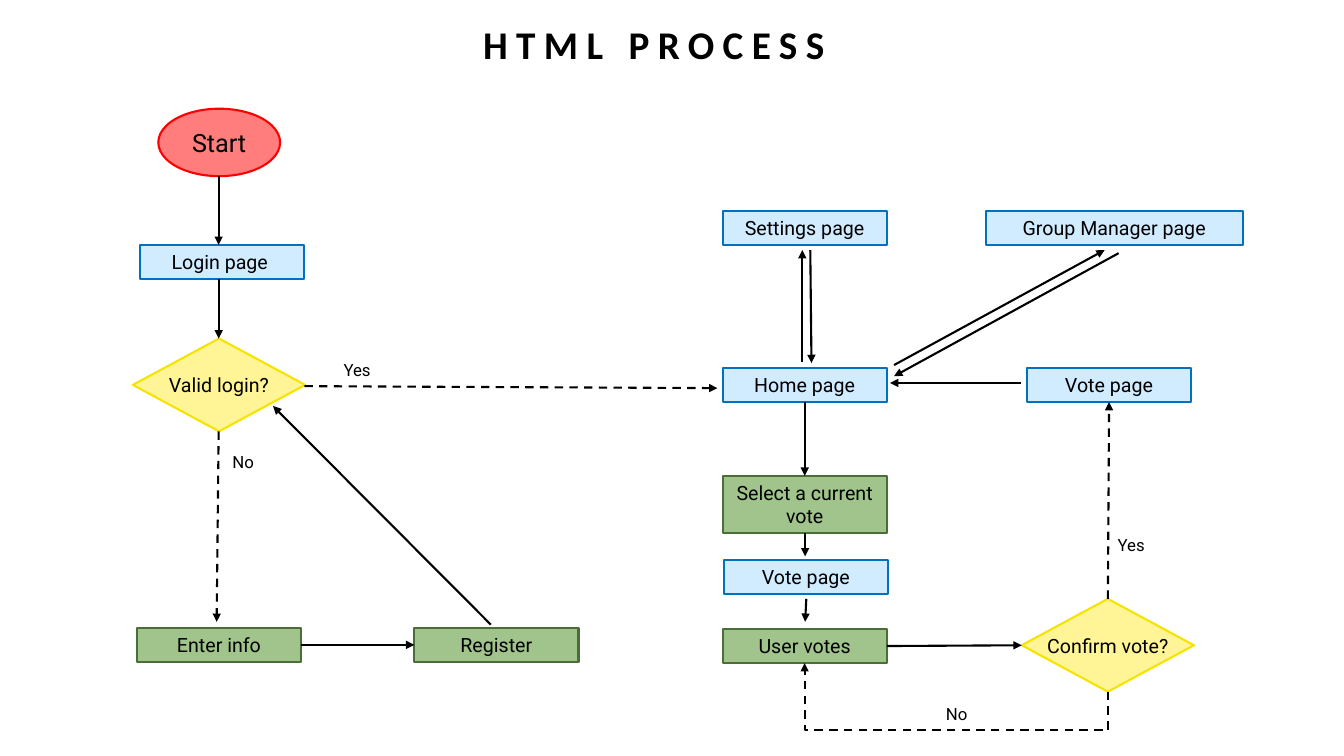
import pptx
import pptx.dml.color
import pptx.enum.dml
import pptx.enum.shapes
import pptx.enum.text
import pptx.oxml
import pptx.oxml.ns
import pptx.util
import lxml.etree

Cm = pptx.util.Cm
Pt = pptx.util.Pt
SHAPE = pptx.enum.shapes.MSO_SHAPE
CONNECTOR = pptx.enum.shapes.MSO_CONNECTOR
AUTO_SIZE = pptx.enum.text.MSO_AUTO_SIZE
ANCHOR = pptx.enum.text.MSO_ANCHOR

BLACK = "000000"
START = ("FF7D7D", "FF0000")
PAGE = ("D1EBFF", "0070C0")
ACTION = ("A0C48C", "4B6E38")
DECISION = ("FFF597", "F6E400")

STEP_W, STEP_H = 4.14, 0.86
DECISION_W, DECISION_H = 4.34, 2.34
TOP, LEFT, BOTTOM, RIGHT = range(4)  # connection sites


def color(hex_code):
    return pptx.dml.color.RGBColor.from_string(hex_code)


def write(shape, text, size, font="Roboto", bold=False):
    """Put centred black text in a shape and return its run."""
    shape.text_frame.text = text
    paragraph = shape.text_frame.paragraphs[0]
    paragraph.alignment = pptx.enum.text.PP_ALIGN.CENTER
    run = paragraph.runs[0]
    run.font.size = Pt(size)
    run.font.name = font
    run.font.bold = bold
    run.font.color.rgb = color(BLACK)
    return run


class Region:
    """Draws flowchart parts, in centimetres from its top left corner."""

    def __init__(self, slide, left, top):
        self.shapes = slide.shapes
        self.left, self.top = left, top

    def place(self, x, y):
        return Cm(self.left + x), Cm(self.top + y)

    def node(self, preset, text, x, y, w, h, colors, size=14):
        node = self.shapes.add_shape(preset, *self.place(x, y), Cm(w), Cm(h))
        node.shadow.inherit = False
        fill, line = colors
        node.fill.solid()
        node.fill.fore_color.rgb = color(fill)
        node.line.color.rgb = color(line)
        node.line.width = Pt(1.5)
        write(node, text, size)
        node.text_frame.vertical_anchor = ANCHOR.MIDDLE
        return node

    def step(self, text, x, y, colors, w=STEP_W, h=STEP_H):
        step = self.node(SHAPE.RECTANGLE, text, x, y, w, h, colors)
        step.text_frame.word_wrap = True
        step.text_frame.vertical_anchor = ANCHOR.TOP
        step.text_frame.auto_size = AUTO_SIZE.SHAPE_TO_FIT_TEXT
        return step

    def decision(self, text, x, y):
        decision = self.node(SHAPE.DIAMOND, text, x, y, DECISION_W, DECISION_H, DECISION)
        decision.text_frame.word_wrap = False
        return decision

    def answer(self, text, x, y):
        answer = self.shapes.add_textbox(*self.place(x, y), Cm(1.24), Cm(0.76))
        answer.text_frame.word_wrap = True
        answer.text_frame.auto_size = AUTO_SIZE.SHAPE_TO_FIT_TEXT
        write(answer, text, 12)

    def arrow(self, start, end, dashed=False, kind=CONNECTOR.STRAIGHT):
        arrow = self.shapes.add_connector(kind, *self.place(*start), *self.place(*end))
        arrow.line.color.rgb = color(BLACK)
        arrow.line.width = Pt(1.5)
        if dashed:
            arrow.line.dash_style = pptx.enum.dml.MSO_LINE.DASH
        properties = arrow._element.spPr
        outline = properties.find(pptx.oxml.ns.qn("a:ln"))
        head = lxml.etree.SubElement(outline, pptx.oxml.ns.qn("a:tailEnd"))
        head.set("type", "triangle")
        lxml.etree.SubElement(properties, pptx.oxml.ns.qn("a:effectLst"))
        return arrow

    def link(self, source, source_site, target, target_site, dashed=False):
        """Join two nodes with an arrow that stays attached to them."""
        link = self.arrow((0, 0), (1, 1), dashed)
        link.begin_connect(source, source_site)
        link.end_connect(target, target_site)

    def loop_below(self, start, end, drop):
        """Dashed elbow arrow that runs left, `drop` below its start."""
        (x1, y1), (x2, y2) = start, end
        mid_x, mid_y = (x1 + x2) / 2, (y1 + y2) / 2
        half_w, half_h = (y1 - y2) / 2, (x1 - x2) / 2
        # The elbow is laid out upright, then turned a quarter clockwise.
        loop = self.arrow((mid_x + half_w, mid_y - half_h),
                          (mid_x - half_w, mid_y + half_h), True, CONNECTOR.ELBOW)
        properties = loop._element.spPr
        properties.find(pptx.oxml.ns.qn("a:xfrm")).set("rot", "5400000")
        geometry = properties.find(pptx.oxml.ns.qn("a:prstGeom"))
        guides = geometry.find(pptx.oxml.ns.qn("a:avLst"))
        if guides is None:
            guides = lxml.etree.SubElement(geometry, pptx.oxml.ns.qn("a:avLst"))
        bend = lxml.etree.SubElement(guides, pptx.oxml.ns.qn("a:gd"))
        bend.set("name", "adj1")
        bend.set("fmla", f"val {round(-100000 * drop / (y1 - y2))}")


def draw_title(slide, left, top, width, height):
    title = slide.shapes.add_textbox(Cm(left), Cm(top), Cm(width), Cm(height))
    title.text_frame.word_wrap = True
    title.text_frame.vertical_anchor = ANCHOR.MIDDLE
    run = write(title, "HTML PROCESS", 28, "Calibri", True)
    run.font._element.set("spc", "600")
    title.text_frame.paragraphs[0].line_spacing = 1.2


def draw_login(slide, left, top):
    region = Region(slide, left, top)
    axis = 2.16
    region.node(SHAPE.OVAL, "Start", 0.64, 0, 3.07, 1.7, START, size=18)
    region.step("Login page ", 0.18, 3.43, PAGE)
    region.decision("Valid login?", 0, 5.79)
    enter_info = region.step("Enter info", 0.1, 13.08, ACTION)
    register = region.step("Register", 7.09, 13.08, ACTION)

    region.arrow((axis, 1.7), (axis, 3.43))
    region.arrow((axis, 4.29), (axis, 5.79))
    region.arrow((axis, 8.13), (2.11, 12.93), dashed=True)
    region.link(enter_info, RIGHT, register, LEFT)
    region.arrow((9.02, 13), (3.53, 7.49))
    region.arrow((4.32, 6.99), (14.73, 7.04), dashed=True)
    region.answer("Yes", 5.03, 6.2)
    region.answer("No", axis, 8.53)


def draw_voting(slide, left, top):
    region = Region(slide, left, top)
    region.step("Settings page", 0, 0, PAGE)
    region.step("Group Manager page", 6.63, 0, PAGE, w=6.48)
    home = region.step("Home page", 0, 3.96, PAGE)
    voted = region.step("Vote page", 7.67, 3.96, PAGE)
    select = region.step("Select a current vote", 0, 6.68, ACTION, h=1.45)
    region.step("Vote page", 0.03, 8.81, PAGE)
    user_votes = region.step("User votes", 0, 10.54, ACTION)
    confirm = region.decision("Confirm vote?", 7.54, 9.78)

    region.link(home, BOTTOM, select, TOP)
    region.link(user_votes, RIGHT, confirm, LEFT)
    region.link(confirm, TOP, voted, BOTTOM, dashed=True)
    for start, end in (
        ((2.08, 8.13), (2.08, 8.71)),    # select to vote page
        ((2.11, 9.78), (2.08, 10.36)),   # vote page to user votes
        ((7.52, 4.34), (4.22, 4.34)),    # vote page to home
        ((2.01, 3.81), (2.01, 0.99)),    # home to settings
        ((2.21, 0.99), (2.24, 3.84)),    # settings to home
        ((4.32, 3.89), (9.63, 0.99)),    # home to group manager
        ((9.98, 1.07), (4.32, 4.17)),    # group manager to home
    ):
        region.arrow(start, end)
    region.loop_below((9.72, 12.12), (2.07, 11.4), drop=0.97)
    region.answer("Yes", 9.68, 8.05)
    region.answer("No", 5.28, 12.29)


def main():
    presentation = pptx.Presentation()
    presentation.slide_width, presentation.slide_height = Cm(33.87), Cm(19.05)
    slide = presentation.slides.add_slide(presentation.slide_layouts[6])
    draw_title(slide, 11.91, -0.2, 9.14, 2.39)
    draw_login(slide, 3.35, 2.74)
    draw_voting(slide, 18.21, 5.31)
    presentation.save("out.pptx")


if __name__ == "__main__":
    main()
